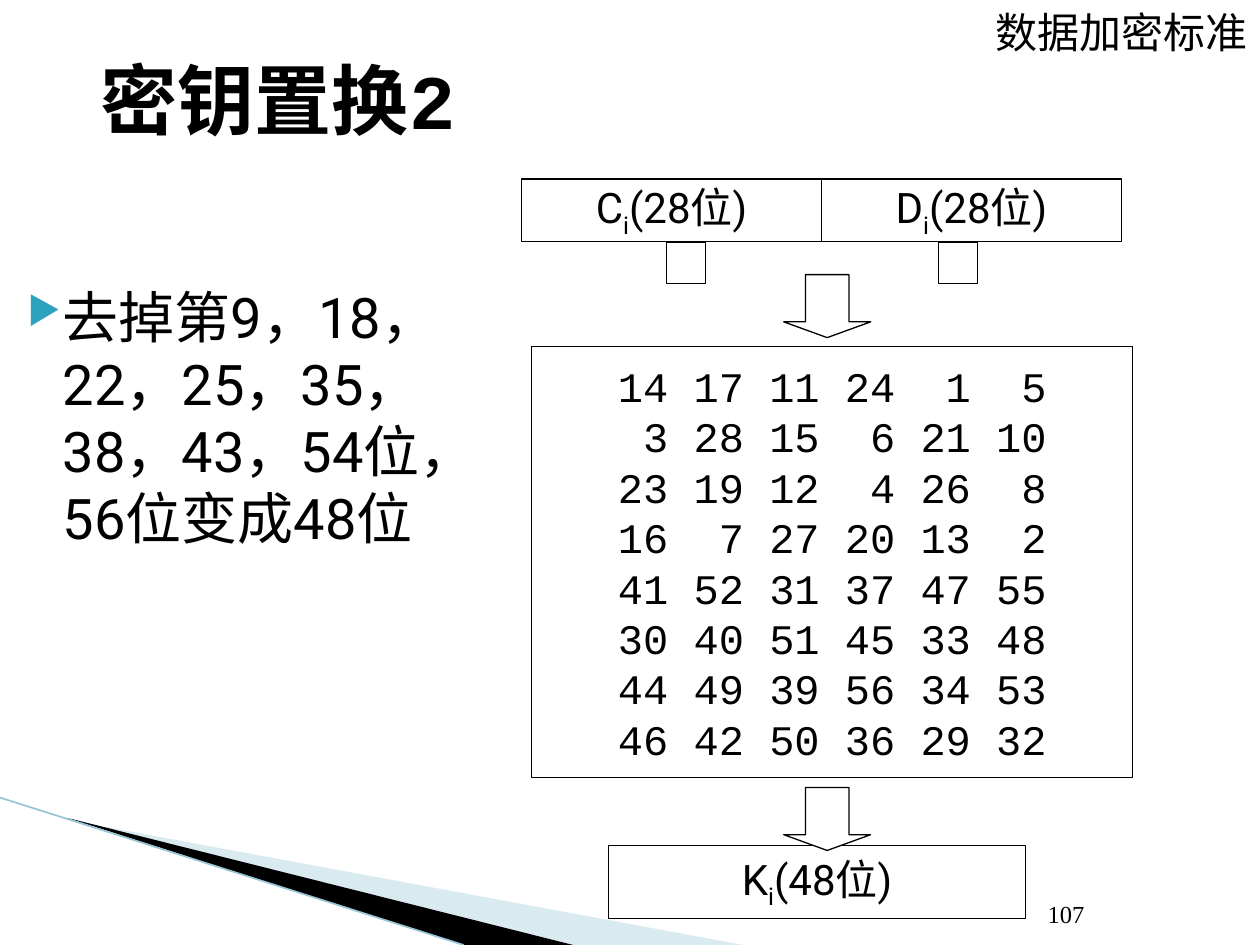
from dataclasses import dataclass

from lxml import etree
from pptx import Presentation
from pptx.dml.color import RGBColor
from pptx.enum.shapes import MSO_CONNECTOR, MSO_SHAPE
from pptx.enum.text import MSO_ANCHOR, PP_ALIGN
from pptx.oxml.ns import qn
from pptx.util import Pt

EMU_PER_PX = 9144  # 100 px to the inch
TITLE_ONLY = 5
RECTANGLE, DOWN_ARROW = MSO_SHAPE.RECTANGLE, MSO_SHAPE.DOWN_ARROW
STRAIGHT = MSO_CONNECTOR.STRAIGHT
LEFT, CENTER, RIGHT = PP_ALIGN.LEFT, PP_ALIGN.CENTER, PP_ALIGN.RIGHT
TOP, MIDDLE, BOTTOM = MSO_ANCHOR.TOP, MSO_ANCHOR.MIDDLE, MSO_ANCHOR.BOTTOM


@dataclass(frozen=True)
class Theme:
    ink: str = "000000"
    paper: str = "FFFFFF"
    bullet: str = "2DA2BF"
    pale_band: str = "A0CBDC"
    edge: str = "97C5D8"
    sans: str = "Roboto"
    mono: str = "Courier New"
    serif: str = "Times New Roman"
    chinese: str = "Noto Sans CJK SC"
    title_size: int = 44
    body_size: int = 32
    label_size: int = 24
    number_size: int = 14
    outline: float = 0.75
    edge_width: float = 0.95


def px(*lengths):
    return [length * EMU_PER_PX for length in lengths]


class SlideBuilder:
    def __init__(self, slide, theme):
        self.slide, self.shapes, self.theme = slide, slide.shapes, theme

    def add_run(self, paragraph, text, font, size, bold=False, subscript=False):
        run = paragraph.add_run()
        run.text = text
        run.font.name, run.font.size, run.font.bold = font, Pt(size), bold
        run.font.color.rgb = RGBColor.from_string(self.theme.ink)
        if subscript:
            run.font._element.set("baseline", "-25000")

    def title(self, text, box):
        shape = self.shapes.title
        shape.left, shape.top, shape.width, shape.height = px(*box)
        shape.text_frame.vertical_anchor = MIDDLE
        paragraph = shape.text_frame.paragraphs[0]
        paragraph.alignment = LEFT
        self.add_run(paragraph, text, self.theme.mono, self.theme.title_size, bold=True)

    def text(self, text, box, font, size, align=LEFT, anchor=TOP):
        frame = self.shapes.add_textbox(*px(*box)).text_frame
        frame.word_wrap = True
        frame.vertical_anchor = anchor
        paragraph = frame.paragraphs[0]
        paragraph.alignment = align
        self.add_run(paragraph, text, font, size)
        return paragraph

    def bullet(self, text, box):
        paragraph = self.text(text, box, self.theme.sans, self.theme.body_size)
        properties = paragraph._p.get_or_add_pPr()
        margin, indent = px(40, -28)
        properties.set("marL", str(margin))
        properties.set("indent", str(indent))
        color = etree.SubElement(properties, qn("a:buClr"))
        etree.SubElement(color, qn("a:srgbClr"), val=self.theme.bullet)
        etree.SubElement(properties, qn("a:buSzPct"), val="68000")
        etree.SubElement(properties, qn("a:buChar"), char="▶")

    def block(self, box, kind=RECTANGLE):
        shape = self.shapes.add_shape(kind, *px(*box))
        shape.shadow.inherit = False
        shape.fill.solid()
        shape.fill.fore_color.rgb = RGBColor.from_string(self.theme.paper)
        shape.line.color.rgb = RGBColor.from_string(self.theme.ink)
        shape.line.width = Pt(self.theme.outline)
        shape.text_frame.word_wrap = False
        shape.text_frame.vertical_anchor = MIDDLE
        return shape

    def down_arrow(self, box):
        self.block(box, DOWN_ARROW).adjustments[1] = 0.25

    def register(self, letter, bits, box):
        """Box labelled with a subscripted key part and its length in bits."""
        paragraph = self.block(box).text_frame.paragraphs[0]
        paragraph.alignment = CENTER
        for text, subscript in ((letter, False), ("i", True), (f"({bits}位)", False)):
            self.add_run(paragraph, text, self.theme.sans, self.theme.label_size,
                         subscript=subscript)

    def matrix(self, rows, box):
        frame = self.block(box).text_frame
        for index, row in enumerate(rows):
            paragraph = frame.add_paragraph() if index else frame.paragraphs[0]
            paragraph.alignment = CENTER
            line = " ".join(f"{number:>2}" for number in row)
            self.add_run(paragraph, line, self.theme.mono, self.theme.label_size)

    def band(self, points, color, opacity=100):
        builder = self.shapes.build_freeform(*points[0], scale=EMU_PER_PX)
        builder.add_line_segments(points[1:], close=True)
        shape = builder.convert_to_shape()
        shape.shadow.inherit = False
        shape.fill.solid()
        shape.fill.fore_color.rgb = RGBColor.from_string(color)
        shape.line.fill.background()
        if opacity < 100:
            fill_color = shape._element.spPr.find(".//" + qn("a:srgbClr"))
            etree.SubElement(fill_color, qn("a:alpha"), val=str(opacity * 1000))

    def line(self, start, end, color, width):
        connector = self.shapes.add_connector(STRAIGHT, *px(*start, *end))
        connector.line.color.rgb = RGBColor.from_string(color)
        connector.line.width = Pt(width)
        etree.SubElement(connector._element.spPr, qn("a:effectLst"))


PERMUTATION = [
    (14, 17, 11, 24, 1, 5),
    (3, 28, 15, 6, 21, 10),
    (23, 19, 12, 4, 26, 8),
    (16, 7, 27, 20, 13, 2),
    (41, 52, 31, 37, 47, 55),
    (30, 40, 51, 45, 33, 48),
    (44, 49, 39, 56, 34, 53),
    (46, 42, 50, 36, 29, 32),
]


def main():
    presentation = Presentation()
    presentation.slide_width, presentation.slide_height = px(1000, 750)
    theme = Theme()
    slide = presentation.slides.add_slide(presentation.slide_layouts[TITLE_ONLY])
    builder = SlideBuilder(slide, theme)

    builder.band([(55, 651), (590, 750), (456, 750)], theme.pale_band, opacity=40)
    builder.band([(53, 649), (455, 750), (368, 750)], theme.ink)
    builder.line((0, 633), (368, 750), theme.edge, theme.edge_width)

    builder.title("密钥置换2", (70, 16, 852, 125))
    builder.bullet("去掉第9，18，22，25，35，38，43，54位，56位变成48位",
                   (0, 219, 417, 450))
    builder.text("107", (742, 692, 208, 50), theme.serif, theme.number_size,
                 CENTER, BOTTOM)
    builder.text("数据加密标准", (383, 0, 617, 50), theme.chinese,
                 theme.label_size, RIGHT)

    for index, letter in enumerate("CD"):
        builder.register(letter, 28, (414 + 238 * index, 142, 238, 50))
    builder.matrix(PERMUTATION, (422, 275, 477, 342))
    builder.register("K", 48, (483, 671, 331, 58))
    for left in (529, 745):
        builder.block((left, 192, 31, 33))
    for top in (218, 625):
        builder.down_arrow((622, top, 69, 50))

    presentation.save("out.pptx")


if __name__ == "__main__":
    main()
